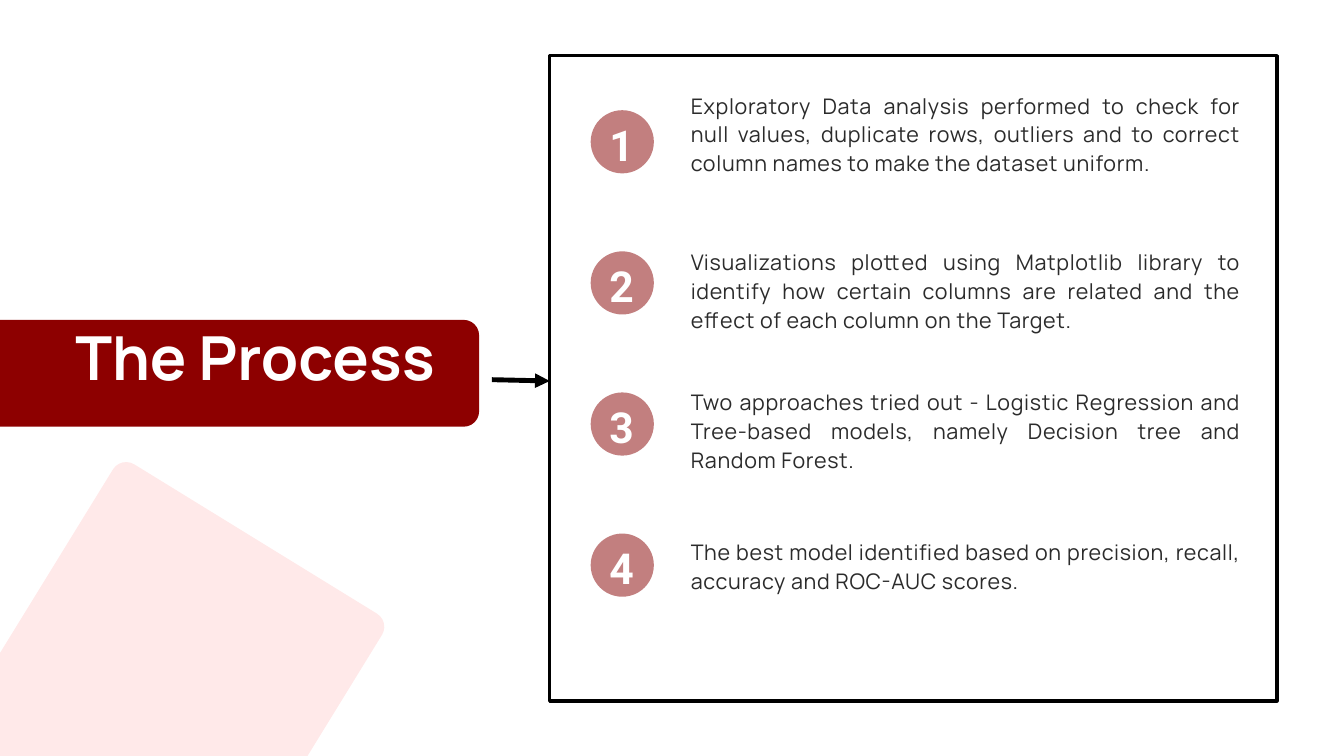
from lxml import etree
from pptx import Presentation
from pptx import util as u
from pptx.dml.color import RGBColor
from pptx.enum import shapes, text
from pptx.oxml.ns import qn

COLS, ROWS = 20, 11.25  # one grid cell is one inch
HEX = {"white": "FFFFFF", "black": "000000", "red": "8D0000",
       "rose": "C27F7F", "blush": "FFE9E9", "ink": "2B2B2B"}
KIND = shapes.MSO_SHAPE
HEAD = {"size": 65, "name": "Manrope", "bold": True, "color": "white"}
MARK = {"size": 45.7, "name": "Roboto", "bold": True, "color": "white"}
BODY = {"size": 23, "name": "Manrope", "bold": False, "color": "ink"}

# Wording, top of the text and its number of lines
STEPS = [
    ("Exploratory Data analysis performed to check for null values, duplicate "
     "rows, outliers and to correct column names to make the dataset uniform.", 1.33, 3),
    ("Visualizations plotted using Matplotlib library to identify how certain "
     "columns are related and the effect of each column on the Target.", 3.66, 3),
    ("Two approaches tried out - Logistic Regression and Tree-based models, "
     "namely Decision tree and Random Forest.", 5.74, 3),
    ("The best model identified based on precision, recall, accuracy and "
     "ROC-AUC scores.", 7.97, 2),
]


def rgb(name):
    return RGBColor.from_string(HEX[name])


def grid(*cells):
    return [u.Inches(c) for c in cells]


def block(slide, kind, box, fill, line=None, curve=None):
    """Add a filled shape; line is a width in points, curve a corner radius."""
    shape = slide.shapes.add_shape(kind, *grid(*box))
    shape.shadow.inherit = False
    shape.fill.solid()
    shape.fill.fore_color.rgb = rgb(fill)
    if line:
        shape.line.color.rgb = rgb("black")
        shape.line.width = u.Pt(line)
    else:
        shape.line.fill.background()
    if curve:
        shape.adjustments[0] = curve / min(box[2:])
    return shape


def write(shape, words, style, lead, align=text.PP_ALIGN.LEFT, track=0):
    """Fill a shape with one paragraph; lead is line height, track letter gap."""
    frame = shape.text_frame
    form = {"word_wrap": True, "auto_size": text.MSO_AUTO_SIZE.NONE,
            "vertical_anchor": text.MSO_ANCHOR.TOP, "margin_left": 0,
            "margin_top": 0, "margin_right": 0, "margin_bottom": 0}
    for key, value in form.items():
        setattr(frame, key, value)
    para = frame.paragraphs[0]
    para.alignment, para.line_spacing = align, u.Pt(lead)
    run = para.add_run()
    run.text = words
    for key, value in style.items():
        if key == "color":
            run.font.color.rgb = rgb(value)
        else:
            setattr(run.font, key, u.Pt(value) if key == "size" else value)
    if track:
        run.font._element.set("spc", str(round(track * 100)))


def label(slide, box, *args, **more):
    write(slide.shapes.add_textbox(*grid(*box)), *args, **more)


def banner(slide, box):
    left, top, wide, high = box
    block(slide, KIND.ROUNDED_RECTANGLE, box, "red", curve=0.23)
    title = slide.shapes.title
    slide.shapes._spTree.append(title._element)  # bring in front of the banner
    title.left, title.top, title.width, title.height = grid(
        left + 1.83, top + 0.18, wide - 1.83, 1.01)
    write(title, "The Process", HEAD, 65)


def arrow(slide, start, end):
    link = slide.shapes.add_connector(
        shapes.MSO_CONNECTOR.STRAIGHT, *grid(*start, *end))
    link.line.color.rgb = rgb("black")
    link.line.width = u.Pt(5.25)
    etree.SubElement(link.line._get_or_add_ln(), qn("a:tailEnd"), type="triangle")
    etree.SubElement(link._element.spPr, qn("a:effectLst"))


def steps(slide, box):
    left, top, wide, _ = box
    size, pitch = 0.94, 2.1
    for i, (words, start, lines) in enumerate(STEPS):
        y = top + 0.81 + i * pitch
        block(slide, KIND.OVAL, (left + 0.61, y, size, size), "rose")
        label(slide, (left + 0.89, y, 0.4, 0.85), str(i + 1), MARK, 64)
        label(slide, (left + 2.1, start, wide - 2.63, lines * 0.43), words, BODY,
              31, align=text.PP_ALIGN.JUSTIFY, track=0.7)


def main():
    deck = Presentation()
    deck.slide_width, deck.slide_height = grid(COLS, ROWS)
    slide = deck.slides.add_slide(deck.slide_layouts.get_by_name("Title Only"))
    panel = (8.18, 0.83, 10.82, 9.6)
    block(slide, KIND.RECTANGLE, panel, "white", line=3.75)
    banner(slide, (-0.71, 4.76, 7.84, 1.59))
    arrow(slide, (7.32, 5.65), (panel[0], 5.67))
    steps(slide, panel)
    tile = block(slide, KIND.ROUNDED_RECTANGLE, (-2.01, 8.92, 7.63, 4.7),
                 "blush", curve=0.23)
    tile.rotation = 301.6
    deck.save("out.pptx")


if __name__ == "__main__":
    main()
